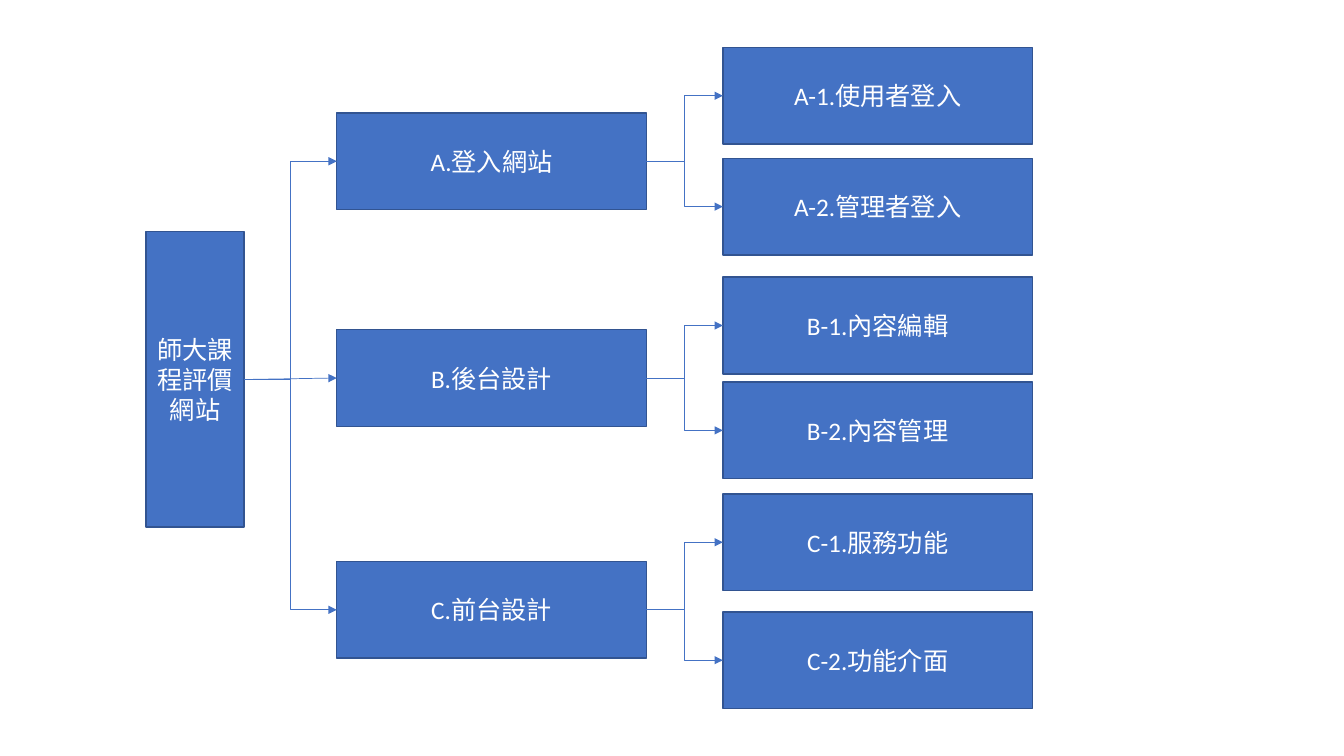
from lxml.etree import SubElement
from pptx import Presentation
from pptx.dml.color import RGBColor
from pptx.enum.shapes import MSO_CONNECTOR as Connector, MSO_SHAPE as Shape
from pptx.enum.text import MSO_ANCHOR as Anchor, PP_ALIGN as Align
from pptx.oxml.ns import qn
from pptx.util import Inches, Pt

COLORS = {"box": "4472C4", "border": "325491", "arrow": "4472C4", "text": "FFFFFF"}
RIGHT_SIDE, LEFT_SIDE = 3, 1
BOX_WIDTH, BOX_HEIGHT = 3.07, 0.96
SECTION_LEFT, ITEM_LEFT = 3.34, 7.17

SECTIONS = [
    ("A.登入網站", 1.12, Connector.ELBOW,
     [("A-1.使用者登入", 0.47), ("A-2.管理者登入", 1.57)]),
    ("B.後台設計", 3.27, Connector.STRAIGHT,
     [("B-1.內容編輯", 2.75), ("B-2.內容管理", 3.79)]),
    ("C.前台設計", 5.57, Connector.ELBOW,
     [("C-1.服務功能", 4.9), ("C-2.功能介面", 6.07)]),
]


class TreeSlide:
    font_format = {"name": "Calibri", "size": Pt(18)}
    frame_format = {"word_wrap": True, "vertical_anchor": Anchor.MIDDLE}

    def __init__(self, slide):
        self.slide = slide

    def color(self, name):
        return RGBColor.from_string(COLORS[name])

    def apply(self, target, values):
        for name, value in values.items():
            setattr(target, name, value)

    def box(self, text, left, top, width=BOX_WIDTH, height=BOX_HEIGHT):
        shape = self.slide.shapes.add_shape(
            Shape.RECTANGLE, Inches(left), Inches(top), Inches(width), Inches(height))
        shape.shadow.inherit = False
        shape.fill.solid()
        shape.fill.fore_color.rgb = self.color("box")
        shape.line.color.rgb = self.color("border")
        shape.line.width = Pt(1)
        self.apply(shape.text_frame, self.frame_format)
        paragraph = shape.text_frame.paragraphs[0]
        paragraph.alignment = Align.CENTER
        run = paragraph.add_run()
        run.text = text
        self.apply(run.font, self.font_format)
        run.font.color.rgb = self.color("text")
        return shape

    def arrow(self, parent, child, kind=Connector.ELBOW):
        connector = self.slide.shapes.add_connector(
            kind,
            parent.left + parent.width, parent.top + parent.height // 2,
            child.left, child.top + child.height // 2)
        connector.begin_connect(parent, RIGHT_SIDE)
        connector.end_connect(child, LEFT_SIDE)
        connector.line.color.rgb = self.color("arrow")
        connector.line.width = Pt(0.5)
        SubElement(connector.line._get_or_add_ln(), qn("a:tailEnd"), type="triangle")
        SubElement(connector._element.spPr, qn("a:effectLst"))


def main():
    presentation = Presentation()
    presentation.slide_width = Inches(13.33)
    presentation.slide_height = Inches(7.5)
    tree = TreeSlide(presentation.slides.add_slide(presentation.slide_layouts[6]))

    root = tree.box("師大課程評價網站", 1.45, 2.3, 0.97, 2.93)
    for section_text, section_top, kind, items in SECTIONS:
        section = tree.box(section_text, SECTION_LEFT, section_top)
        tree.arrow(root, section, kind)
        for item_text, item_top in items:
            item = tree.box(item_text, ITEM_LEFT, item_top)
            tree.arrow(section, item)

    presentation.save("out.pptx")


if __name__ == "__main__":
    main()
